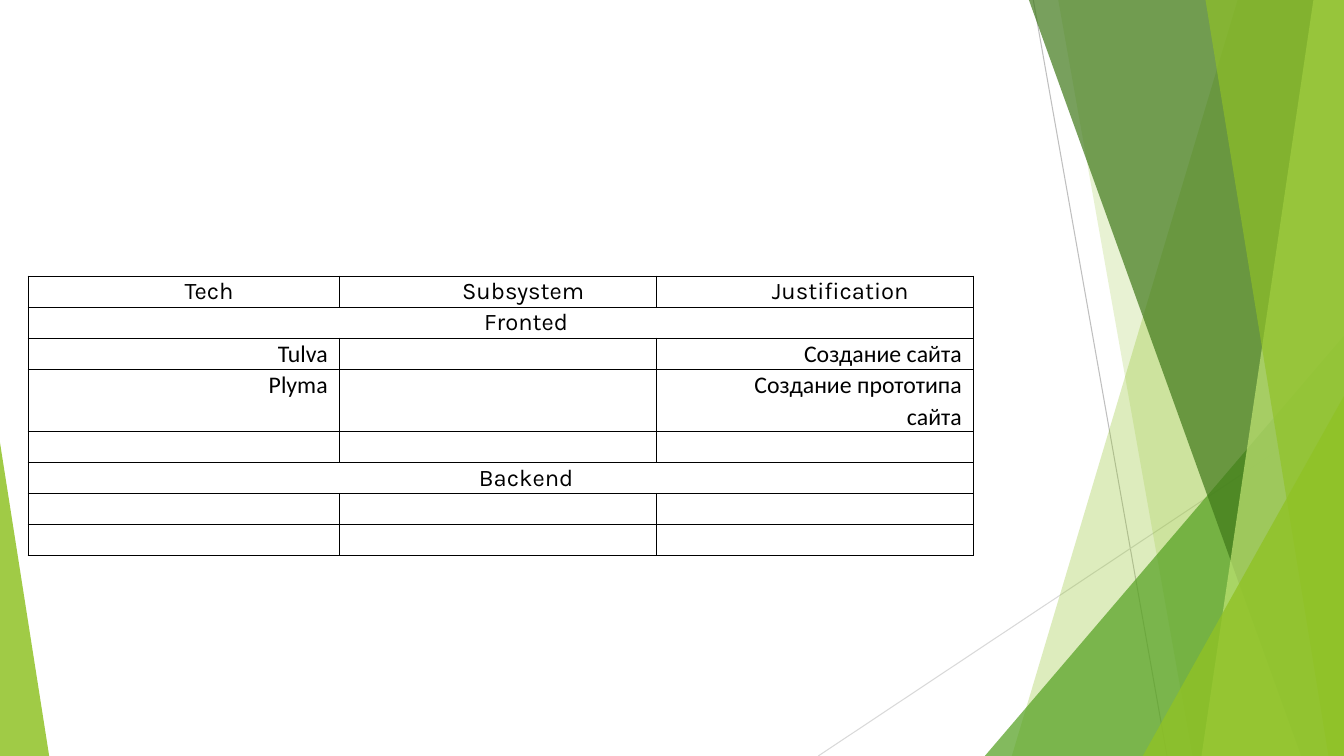
from lxml import etree
from pptx import Presentation
from pptx.dml.color import RGBColor
from pptx.enum.shapes import MSO_CONNECTOR
from pptx.enum.text import PP_ALIGN
from pptx.oxml.ns import qn
from pptx.util import Cm, Pt

STRAIGHT = MSO_CONNECTOR.STRAIGHT
CENTER, RIGHT = PP_ALIGN.CENTER, PP_ALIGN.RIGHT
W, H = 33.87, 19.05
GREEN = "90C226"

LINES = [
    ((26.04, 0), (29.41, H), "BFBFBF"),
    ((W, 10.24), (20.62, H), "D9D9D9"),
]


def band(top, bottom):
    """Outline from a slanted left edge to the right side of the slide."""
    return [(top, 0), (W, 0), (W, H), (bottom, H)]


def corner(x, y, side=W):
    """Triangle in a bottom corner of the slide."""
    return [(x, H), (side, y), (side, H)]


FACETS = [
    (band(31.19, 25.5), GREEN, 30),
    (band(26.67, 30.05), GREEN, 20),
    (corner(24.82, 8.46), "54A021", 72),
    (band(25.93, 32.79), "3F7819", 70),
    (band(33.1, 30.28), "C0E474", 70),
    (band(30.38, 33.48), GREEN, 65),
    (corner(28.8, 9.98), GREEN, 80),
    (corner(1.24, 11.15, side=0), GREEN, 85),
]

HEADER = dict(name="Karla", align=CENTER)
BODY = dict(name="Calibri", align=RIGHT)
COLUMNS = [7.85, 7.98, 8]
ROW = 0.78
# A row with one entry is a section heading across the table.
ROWS = [
    (HEADER, ["Tech", "Subsystem", "Justification"]),
    (HEADER, ["Fronted"]),
    (BODY, ["Tulva", "", "Создание сайта"]),
    (BODY, ["Plyma", "", "Создание прототипа сайта"]),
    (BODY, [""] * 3),
    (HEADER, ["Backend"]),
    (BODY, [""] * 3),
    (BODY, [""] * 3),
]
TALL_ROW = 3


def rgb(color):
    return RGBColor.from_string(color)


class Builder:
    cell_format = dict(margin_left=Cm(0.3), margin_right=Cm(0.3),
                       margin_top=0, margin_bottom=0)
    text_size = 17
    text_color = "000000"

    def __init__(self, prs):
        self.slide = prs.slides.add_slide(prs.slide_layouts[6])

    def line(self, start, end, color):
        sp = self.slide.shapes.add_connector(
            STRAIGHT, *(Cm(v) for v in start + end))
        sp.line.color.rgb = rgb(color)
        sp.line.width = Pt(0.75)
        etree.SubElement(sp._element.spPr, qn("a:effectLst"))

    def facet(self, points, color, opacity):
        points = [(Cm(x), Cm(y)) for x, y in points]
        fb = self.slide.shapes.build_freeform(*points[0])
        fb.add_line_segments(points[1:], close=True)
        sp = fb.convert_to_shape()
        sp.shadow.inherit = False
        sp.line.fill.background()
        sp.fill.solid()
        sp.fill.fore_color.rgb = rgb(color)
        clr = sp._element.spPr.find(".//" + qn("a:srgbClr"))
        etree.SubElement(clr, qn("a:alpha"), val=str(opacity * 1000))

    def borders(self, cell):
        tc_pr = cell._tc.get_or_add_tcPr()
        for side in ("lnL", "lnR", "lnT", "lnB"):
            ln = etree.SubElement(tc_pr, qn("a:" + side), w=str(Pt(1)))
            fill = etree.SubElement(ln, qn("a:solidFill"))
            etree.SubElement(fill, qn("a:srgbClr"), val="000000")

    def cell(self, cell, text, name, align):
        for key, value in self.cell_format.items():
            setattr(cell, key, value)
        self.borders(cell)
        cell.fill.background()
        p = cell.text_frame.paragraphs[0]
        if not text:
            etree.SubElement(p._p, qn("a:endParaRPr"), sz="1200")
            return
        p.alignment = align
        p.line_spacing = 1.07
        p._p.get_or_add_pPr().set("marL", str(Cm(1.27)))
        r = p.add_run()
        r.text = text
        for key, value in dict(name=name, size=Pt(self.text_size)).items():
            setattr(r.font, key, value)
        r.font.color.rgb = rgb(self.text_color)

    def table(self, left, top, columns, rows):
        height = ROW * (len(rows) + 1)
        table = self.slide.shapes.add_table(
            len(rows), len(columns), Cm(left), Cm(top),
            Cm(sum(columns)), Cm(height)).table
        table.first_row = table.horz_banding = False
        for column, width in zip(table.columns, columns):
            column.width = Cm(width)
        for i, (style, texts) in enumerate(rows):
            table.rows[i].height = Cm(ROW * 2 if i == TALL_ROW else ROW)
            if len(texts) == 1:
                table.cell(i, 0).merge(table.cell(i, len(columns) - 1))
            for j in range(len(columns)):
                text = texts[j] if j < len(texts) else ""
                self.cell(table.cell(i, j), text, **style)


def main():
    prs = Presentation()
    prs.slide_width, prs.slide_height = Cm(W), Cm(H)
    s = Builder(prs)
    for line in LINES:
        s.line(*line)
    for facet in FACETS:
        s.facet(*facet)
    s.table(0.71, 6.96, COLUMNS, ROWS)
    prs.save("out.pptx")


if __name__ == "__main__":
    main()
